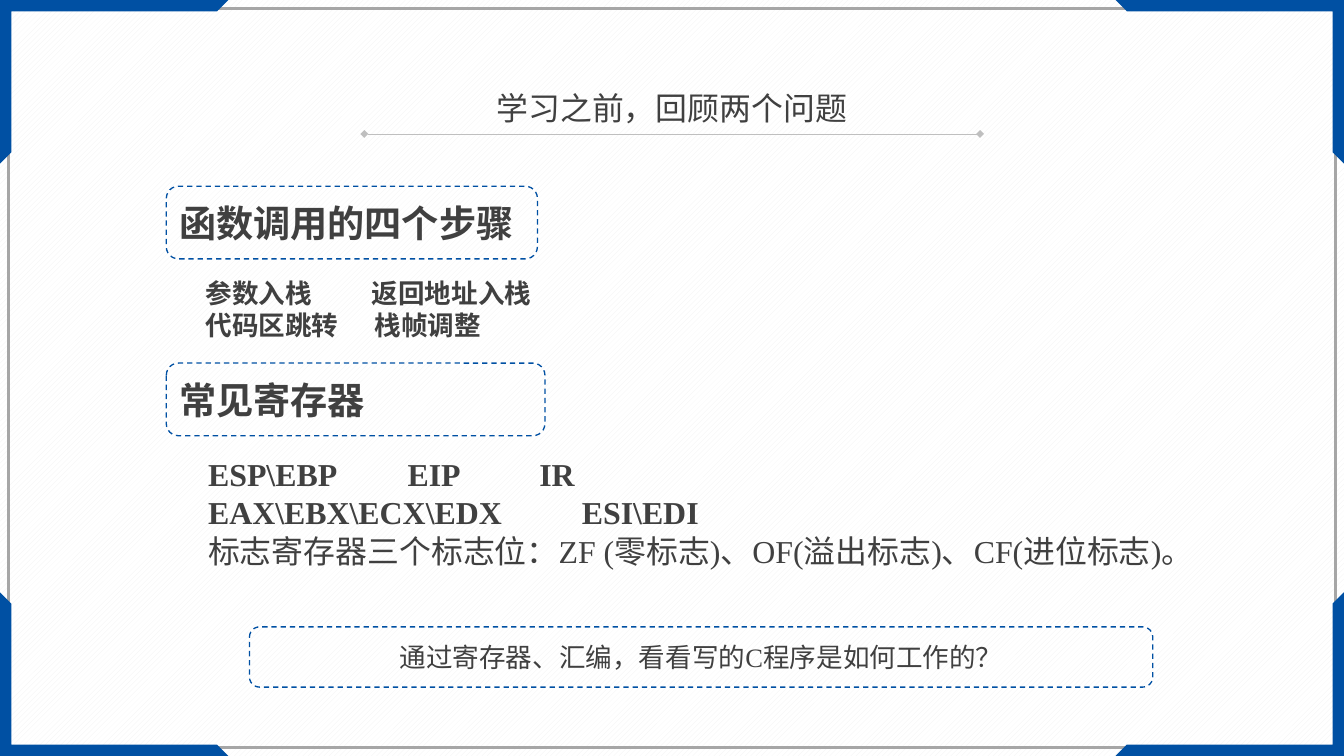
"""Builds a review slide on call steps and common registers."""
from lxml import etree
from pptx import Presentation
from pptx.dml.color import RGBColor
from pptx.enum import dml, shapes, text
from pptx.oxml.ns import qn
from pptx.util import Cm, Pt

BLUE = RGBColor(0x00, 0x50, 0xA3)
DARK = RGBColor(0x40, 0x40, 0x40)
GREY = RGBColor(0xA6, 0xA6, 0xA6)
PALE = RGBColor(0xBF, 0xBF, 0xBF)
MIST = RGBColor(0xF2, 0xF2, 0xF2)
WHITE = RGBColor(0xFF, 0xFF, 0xFF)
SANS, SERIF = "Noto Sans CJK SC", "Times New Roman"
LEFT, MID = text.PP_ALIGN.LEFT, text.PP_ALIGN.CENTER

WIDE, HIGH = 35.71, 20.09
EDGE = 0.23
CORNER = [(0, 0), (6.07, 0), (5.77, 0.3), (0.3, 0.3), (0.3, 4.05), (0, 4.35)]
RULE = (9.68, 26.04, 3.56)

TITLE = ("学习之前，回顾两个问题", (8.81, 2.24, 18.08, 1.27))
BOXES = [
    ("函数调用的四个步骤", (4.42, 4.95, 9.86, 1.93), SANS, 28, True, LEFT),
    ("常见寄存器", (4.42, 9.65, 10.06, 1.93), SANS, 28, True, LEFT),
    ("通过寄存器、汇编，看看写的C程序是如何工作的？",
     (6.63, 16.66, 24, 1.6), SERIF, 20, False, MID),
]
NOTES = [
    ((5.21, 7.24, 26.85, 1.96), 20, [
        (["参数入栈", "返回地址入栈"], [4.42], True),
        (["代码区跳转", "栈帧调整"], [4.5], True),
    ]),
    ((5.28, 11.96, 27.46, 4.37), 24, [
        (["ESP\\EBP", "EIP", "IR"], [5.3, 8.8], True),
        (["EAX\\EBX\\ECX\\EDX", "ESI\\EDI"], [9.93], True),
        (["标志寄存器三个标志位：ZF (零标志)、OF(溢出标志)、CF(进位标志)。"], [], False),
    ]),
]


def cms(nums):
    return [Cm(n) for n in nums]


def write(para, words, name, size, bold, align=LEFT, tabs=()):
    para.text = words
    para.alignment = align
    props = para._p.get_or_add_pPr()
    if tabs:
        stops = etree.SubElement(props, qn("a:tabLst"))
        for pos in cms(tabs):
            etree.SubElement(stops, qn("a:tab"), pos=str(pos), algn="l")
    font = para.font
    font.name, font.size, font.bold = name, Pt(size), bold
    font.color.rgb = DARK
    base = props.find(qn("a:defRPr"))
    etree.SubElement(base, qn("a:ea"), typeface=SANS)


def outline(slide, kind, place, color, width):
    shape = slide.shapes.add_shape(kind, *cms(place))
    shape.shadow.inherit = False
    shape.fill.background()
    shape.line.color.rgb = color
    shape.line.width = Pt(width)
    return shape


def frame(slide):
    fill = slide.background.fill
    fill.patterned()
    fill.pattern = dml.MSO_PATTERN.WIDE_UPWARD_DIAGONAL
    fill.fore_color.rgb, fill.back_color.rgb = MIST, WHITE
    place = (EDGE, EDGE, WIDE - 2 * EDGE, HIGH - 2 * EDGE)
    outline(slide, shapes.MSO_SHAPE.RECTANGLE, place, GREY, 2)
    for right in (False, True):
        for low in (False, True):
            pts = [cms((WIDE - x if right else x, HIGH - y if low else y))
                   for x, y in CORNER]
            path = slide.shapes.build_freeform(*pts[0])
            path.add_line_segments(pts[1:])
            mark = path.convert_to_shape()
            mark.shadow.inherit = False
            mark.fill.solid()
            mark.fill.fore_color.rgb = BLUE
            mark.line.fill.background()


def head(slide):
    start, end, y = cms(RULE)
    rule = slide.shapes.add_connector(
        shapes.MSO_CONNECTOR.STRAIGHT, start, y, end, y)
    rule.line.color.rgb = PALE
    rule.line.width = Pt(0.5)
    for tag in ("a:headEnd", "a:tailEnd"):
        etree.SubElement(rule.line._get_or_add_ln(), qn(tag), type="diamond")
    etree.SubElement(rule._element.spPr, qn("a:effectLst"))
    words, place = TITLE
    title = slide.shapes.title
    title.left, title.top, title.width, title.height = cms(place)
    area = title.text_frame
    area.auto_size = text.MSO_AUTO_SIZE.NONE
    area.vertical_anchor = text.MSO_ANCHOR.TOP
    write(area.paragraphs[0], words, SANS, 24, False, MID)


def body(slide):
    for words, place, name, size, bold, align in BOXES:
        box = outline(slide, shapes.MSO_SHAPE.ROUNDED_RECTANGLE, place, BLUE, 1)
        box.line.dash_style = dml.MSO_LINE.DASH
        area = box.text_frame
        area.word_wrap = True
        area.vertical_anchor = text.MSO_ANCHOR.MIDDLE
        write(area.paragraphs[0], words, name, size, bold, align)
    for place, size, rows in NOTES:
        area = slide.shapes.add_textbox(*cms(place)).text_frame
        area.word_wrap = True
        for i, (cells, tabs, bold) in enumerate(rows):
            para = area.add_paragraph() if i else area.paragraphs[0]
            write(para, "\t".join(cells), SERIF, size, bold, tabs=tabs)


def main():
    deck = Presentation()
    deck.slide_width, deck.slide_height = cms((WIDE, HIGH))
    slide = deck.slides.add_slide(deck.slide_layouts[5])
    frame(slide)
    head(slide)
    body(slide)
    deck.save("out.pptx")


if __name__ == "__main__":
    main()
